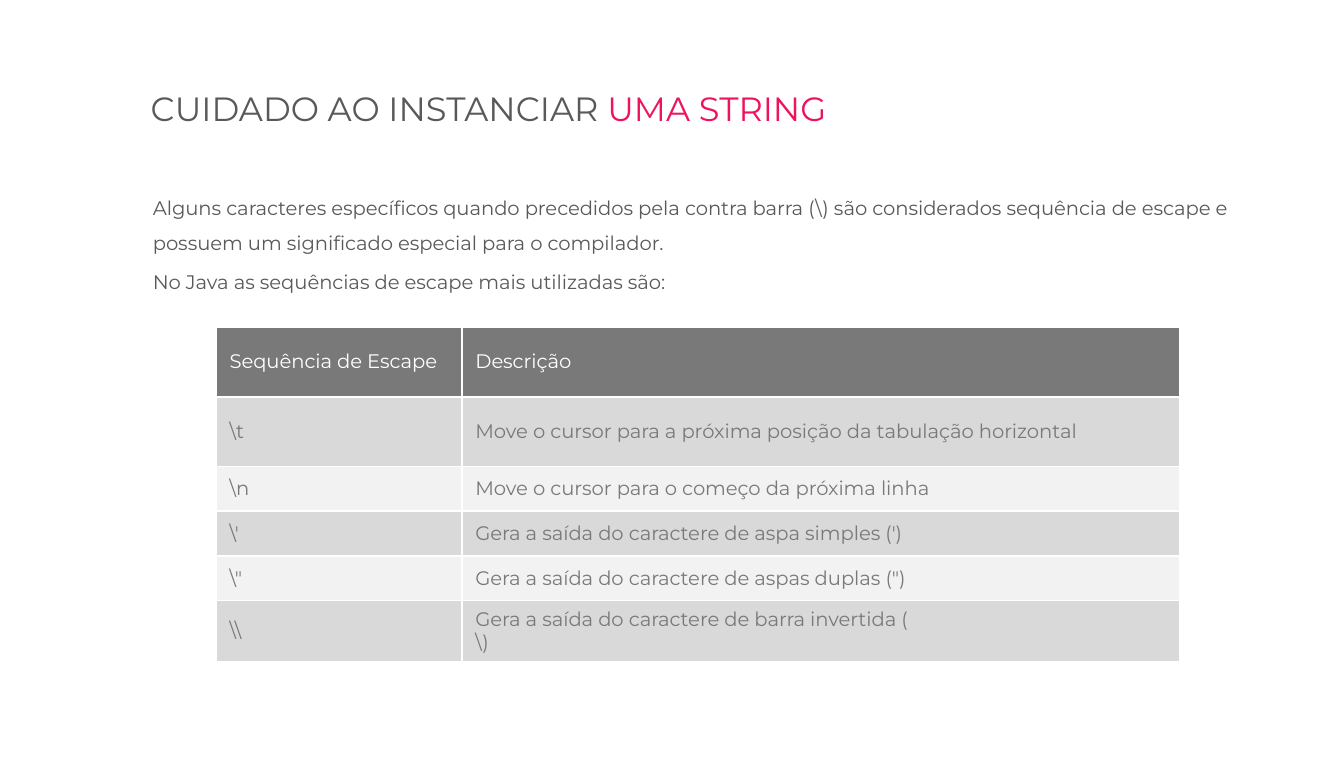
from lxml import etree
from pptx import Presentation
from pptx import util as u
from pptx.dml import color
from pptx.enum import text
from pptx.oxml import ns

GREY, PINK, HEADER, WHITE = "595959", "ED145B", "797979", "FFFFFF"
BANDS = ("D9D9D9", "F2F2F2")

ESCAPES = [
    (r"\t", "Move o cursor para a próxima posição da tabulação horizontal"),
    (r"\n", "Move o cursor para o começo da próxima linha"),
    (r"\'", "Gera a saída do caractere de aspa simples (')"),
    (r'\"', 'Gera a saída do caractere de aspas duplas (")'),
    (r"\\", "Gera a saída do caractere de barra invertida (\n\\)"),
]


def rgb(value):
    return color.RGBColor.from_string(value)


def assign(target, values):
    for name, value in values.items():
        setattr(target, name, value)


class SlideBuilder:
    font = "Montserrat"
    body_size = 10.5

    def __init__(self, deck):
        self.slide = deck.slides.add_slide(deck.slide_layouts[1])

    def place(self, placeholder, left, top, width, height):
        assign(placeholder, {"left": u.Pt(left), "top": u.Pt(top),
                             "width": u.Pt(width), "height": u.Pt(height)})
        frame = placeholder.text_frame
        assign(frame, {"word_wrap": True, "auto_size": text.MSO_AUTO_SIZE.NONE,
                       "vertical_anchor": text.MSO_ANCHOR.TOP})
        return frame

    def run(self, paragraph, words, size, ink):
        run = paragraph.add_run()
        run.text = words
        assign(run.font, {"name": self.font, "size": u.Pt(size), "bold": False})
        run.font.color.rgb = rgb(ink)

    def title(self, parts, box):
        heading = self.place(self.slide.shapes.title, *box).paragraphs[0]
        heading.alignment = text.PP_ALIGN.LEFT
        for words, ink in parts:
            self.run(heading, words, 18, ink)

    def body(self, sentences, box):
        frame = self.place(self.slide.placeholders[1], *box)
        for i, sentence in enumerate(sentences):
            paragraph = frame.add_paragraph() if i else frame.paragraphs[0]
            assign(paragraph, {"level": 1, "line_spacing": 1.5, "space_before": u.Pt(2.1)})
            props = paragraph._p.get_or_add_pPr()
            props.set("marL", str(u.Pt(36)))
            props.set("indent", "0")
            etree.SubElement(props, ns.qn("a:buNone"))
            self.run(paragraph, sentence, self.body_size, GREY)

    def borders(self, cell):
        props = cell._tc.get_or_add_tcPr()
        for side in ("lnL", "lnR", "lnT", "lnB"):
            line = etree.SubElement(props, ns.qn("a:" + side), w=str(u.Pt(1)))
            fill = etree.SubElement(line, ns.qn("a:solidFill"))
            etree.SubElement(fill, ns.qn("a:srgbClr"), val=WHITE)

    def cell(self, cell, words, ink, fill):
        self.borders(cell)
        cell.fill.solid()
        cell.fill.fore_color.rgb = rgb(fill)
        cell.vertical_anchor = text.MSO_ANCHOR.MIDDLE
        for i, line in enumerate(words.split("\n")):
            paragraph = cell.text_frame.add_paragraph() if i else cell.text_frame.paragraphs[0]
            self.run(paragraph, line, self.body_size, ink)

    def table(self, header, rows, left, top, widths, heights):
        grid = self.slide.shapes.add_table(
            len(heights), len(widths), u.Pt(left), u.Pt(top),
            u.Pt(sum(widths)), u.Pt(sum(heights))).table
        for column, width in zip(grid.columns, widths):
            column.width = u.Pt(width)
        for r, (values, height) in enumerate(zip([header, *rows], heights)):
            grid.rows[r].height = u.Pt(height)
            ink, fill = (HEADER, BANDS[(r - 1) % 2]) if r else (WHITE, HEADER)
            for c, words in enumerate(values):
                self.cell(grid.cell(r, c), words, ink, fill)


def main():
    deck = Presentation()
    assign(deck, {"slide_width": u.Pt(720), "slide_height": u.Pt(405.38)})
    builder = SlideBuilder(deck)
    builder.title([("CUIDADO AO INSTANCIAR ", GREY), ("UMA STRING", PINK)],
                  (73.5, 43.6, 384, 29))
    builder.body([
        r"Alguns caracteres específicos quando precedidos pela contra barra (\) são "
        "considerados sequência de escape e possuem um significado especial para o compilador.",
        "No Java as sequências de escape mais utilizadas são:",
    ], (38.7, 95, 670.3, 194))
    builder.table(("Sequência de Escape", "Descrição"), ESCAPES, 115.8, 175.1,
                  (131.7, 384.5), (37.4, 37.4, 23.9, 23.9, 23.9, 32))
    deck.save("out.pptx")


if __name__ == "__main__":
    main()
